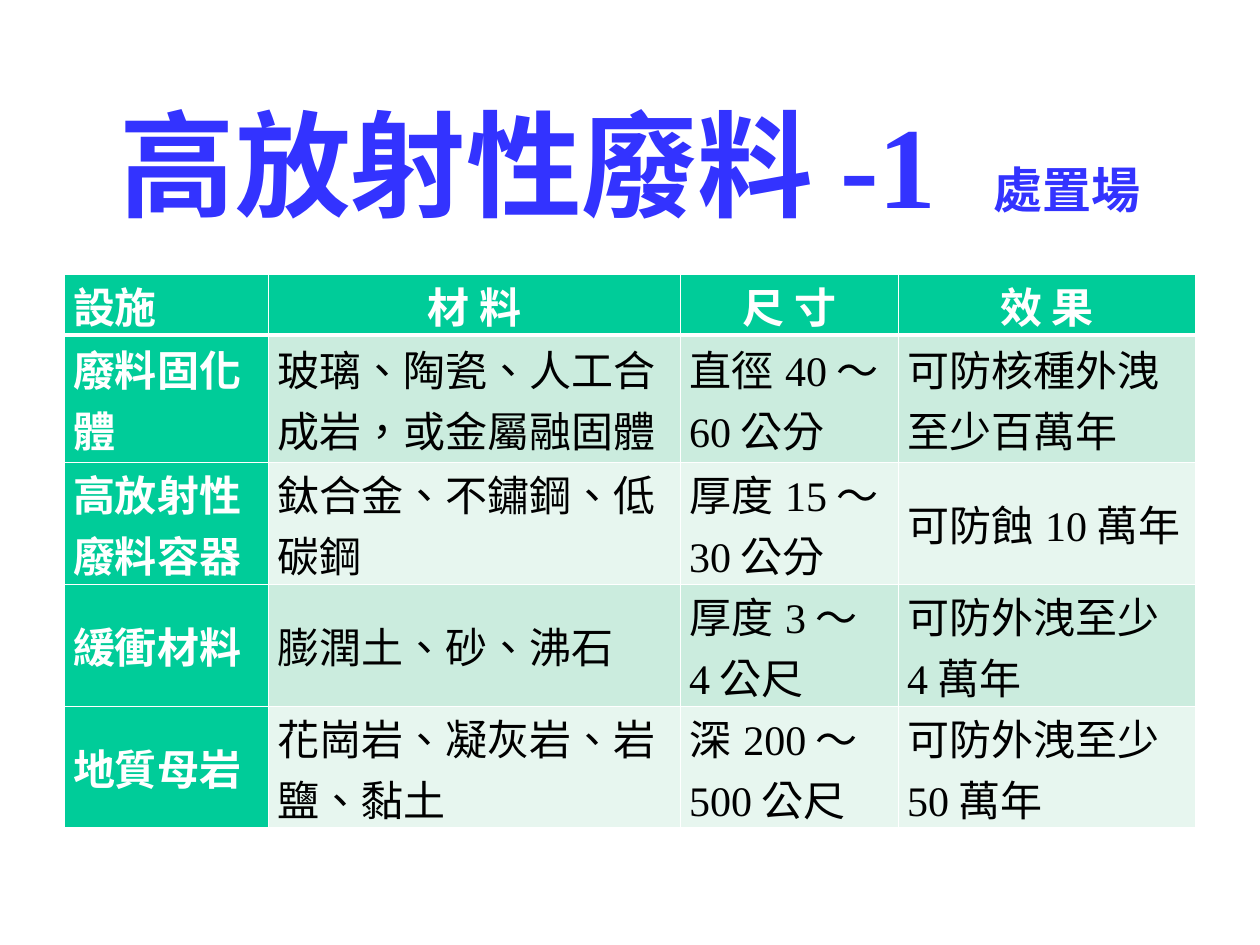
from dataclasses import dataclass

from lxml.etree import SubElement
from pptx import Presentation
from pptx.dml.color import RGBColor
from pptx.enum.lang import MSO_LANGUAGE_ID
from pptx.enum.text import MSO_ANCHOR, PP_ALIGN
from pptx.oxml.ns import qn
from pptx.table import _Cell
from pptx.util import Inches, Pt

FONT = "Times New Roman"
WHITE, BLACK, BLUE, GREEN = "FFFFFF", "000000", "3333FF", "00CC99"
BANDS = ("CBECDE", "E7F6EF")
COLUMN_WIDTHS = (1.62, 3.27, 1.73, 2.36)
ROW_HEIGHTS = (0.48, 1.01, 0.97, 0.97, 0.96)
HEADINGS = ("設施", "材 料", "尺 寸", "效 果")


@dataclass
class Barrier:
    facility: str
    material: str
    dimension: str
    effect: str


BARRIERS = (
    Barrier("廢料固化體", "玻璃、陶瓷、人工合成岩，或金屬融固體", "直徑40～60公分", "可防核種外洩至少百萬年"),
    Barrier("高放射性廢料容器", "鈦合金、不鏽鋼、低碳鋼", "厚度15～30公分", "可防蝕10萬年"),
    Barrier("緩衝材料", "膨潤土、砂、沸石", "厚度3～4公尺", "可防外洩至少4萬年"),
    Barrier("地質母岩", "花崗岩、凝灰岩、岩鹽、黏土", "深200～500公尺", "可防外洩至少50萬年"),
)


def color(value: str) -> RGBColor:
    return RGBColor.from_string(value)


def format_span(span, size: float, ink: str, bold: bool) -> None:
    span.font.name = FONT
    span.font.size = Pt(size)
    span.font.bold = bold
    span.font.color.rgb = color(ink)
    span.font.language_id = MSO_LANGUAGE_ID.TRADITIONAL_CHINESE


def add_borders(cell: _Cell, widths: dict[str, float]) -> None:
    properties = cell._tc.get_or_add_tcPr()
    for position, (side, width) in enumerate(widths.items()):
        line = properties.makeelement(qn(f"a:{side}"), {"w": str(Pt(width))})
        fill = SubElement(line, qn("a:solidFill"))
        SubElement(fill, qn("a:srgbClr"), val=WHITE)
        properties.insert(position, line)


def draw_cell(cell: _Cell, text: str, row: int, column: int) -> None:
    heading = row == 0
    strong = heading or column == 0
    cell.margin_left = cell.margin_right = Inches(0.07)
    cell.margin_top = cell.margin_bottom = 0
    cell.vertical_anchor = MSO_ANCHOR.MIDDLE
    cell.fill.solid()
    cell.fill.fore_color.rgb = color(GREEN if strong else BANDS[(row - 1) % 2])
    add_borders(cell, {"lnL": 1, "lnR": 1, "lnT": 3 if row == 1 else 1, "lnB": 3 if heading else 1})
    cell.text_frame.text = text
    para = cell.text_frame.paragraphs[0]
    para.alignment = PP_ALIGN.CENTER if heading and column else PP_ALIGN.LEFT
    format_span(para.runs[0], 24, WHITE if strong else BLACK, strong)


def draw_title(page) -> None:
    box = page.shapes.add_textbox(Inches(0.75), Inches(0.66), Inches(8.5), Inches(1.25))
    box.text_frame.word_wrap = True
    box.text_frame.vertical_anchor = MSO_ANCHOR.MIDDLE
    para = box.text_frame.paragraphs[0]
    para.alignment = PP_ALIGN.CENTER
    for text, size in (("高放射性廢料-1 ", 66), ("處置場", 28)):
        span = para.add_run()
        span.text = text
        format_span(span, size, BLUE, True)


def draw_table(page) -> None:
    rows = [HEADINGS] + [(item.facility, item.material, item.dimension, item.effect) for item in BARRIERS]
    table = page.shapes.add_table(
        len(rows), len(HEADINGS), Inches(0.51), Inches(2.18),
        Inches(sum(COLUMN_WIDTHS)), Inches(sum(ROW_HEIGHTS)),
    ).table
    for column, width in zip(table.columns, COLUMN_WIDTHS):
        column.width = Inches(width)
    for row, height in zip(table.rows, ROW_HEIGHTS):
        row.height = Inches(height)
    for row, texts in enumerate(rows):
        for column, text in enumerate(texts):
            draw_cell(table.cell(row, column), text, row, column)


def main() -> None:
    deck = Presentation()
    deck.slide_width, deck.slide_height = Inches(10), Inches(7.5)
    page = deck.slides.add_slide(deck.slide_layouts[6])
    draw_title(page)
    draw_table(page)
    deck.save("out.pptx")


if __name__ == "__main__":
    main()
